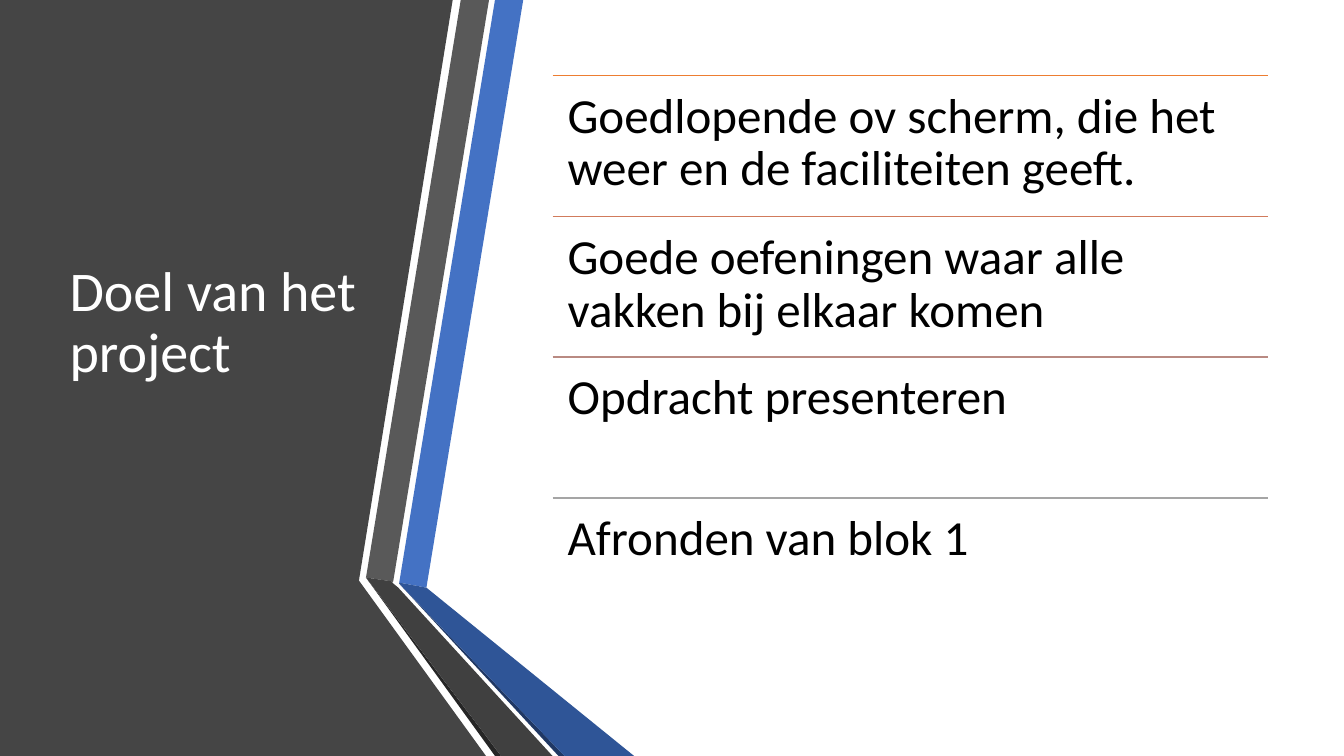
import dataclasses

import lxml.etree
import pptx
import pptx.dml.color
import pptx.enum.shapes
import pptx.enum.text
import pptx.oxml.ns
import pptx.util

PX = 9144  # EMU per px, 100 px to the inch


@dataclasses.dataclass(frozen=True)
class Theme:
    font: str = "Calibri"
    title_size: int = 40
    goal_size: int = 35
    rule_width: int = 1
    line_spacing: float = 0.9
    title_color: str = "FFFFFF"
    goal_color: str = "000000"
    panel: str = "454545"
    blue: str = "4472C4"
    blue_fold: str = "2F5597"
    blue_shade: str = "203864"
    grey: str = "595959"
    grey_fold: str = "404040"
    grey_shade: str = "262626"
    rules: tuple = ("ED7D31", "D17B5C", "B98A82", "A5A5A5")


THEME = Theme()

# Fill and corner points, from back to front
RIBBON_FACETS = [
    (THEME.panel, [(0, 0), (449, 0), (356, 576), (482, 750), (0, 750)]),
    (THEME.blue, [(396, 578), (423, 583), (519, 0), (491, 0)]),
    (THEME.grey, [(485, 0), (457, 0), (363, 573), (390, 577)]),
    (THEME.grey_shade, [(363, 573), (491, 750), (497, 750)]),
    (THEME.blue_shade, [(396, 579), (554, 750), (560, 750)]),
    (THEME.blue_fold, [(396, 579), (560, 750), (629, 750), (423, 583), (396, 578)]),
    (THEME.grey_fold, [(548, 750), (395, 583), (389, 578), (390, 577), (363, 573), (497, 750)]),
]

GOALS = [
    "Goedlopende ov scherm, die het weer en de faciliteiten geeft.",
    "Goede oefeningen waar alle vakken bij elkaar komen",
    "Opdracht presenteren",
    "Afronden van blok 1",
]
GOALS_LEFT, GOALS_TOP, GOALS_WIDTH, GOALS_HEIGHT = 548, 75, 710, 559


def rgb(color):
    return pptx.dml.color.RGBColor.from_string(color)


def add_facet(slide, color, corners):
    outline = slide.shapes.build_freeform(*corners[0], scale=PX)
    outline.add_line_segments(corners[1:], close=True)
    facet = outline.convert_to_shape()
    facet.shadow.inherit = False
    facet.fill.solid()
    facet.fill.fore_color.rgb = rgb(color)
    facet.line.fill.background()


def write_text(frame, text, size, color):
    frame.word_wrap = True
    frame.auto_size = pptx.enum.text.MSO_AUTO_SIZE.NONE
    paragraph = frame.paragraphs[0]
    paragraph.alignment = pptx.enum.text.PP_ALIGN.LEFT
    paragraph.line_spacing = THEME.line_spacing
    run = paragraph.add_run()
    run.text = text
    run.font.name = THEME.font
    run.font.size = pptx.util.Pt(size)
    run.font.color.rgb = rgb(color)


def place_title(slide, text):
    """Fill the title placeholder and bring it in front of the dark panel."""
    title = slide.shapes.title
    title.left, title.top, title.width, title.height = (
        px * PX for px in (59, 75, 304, 558))
    frame = title.text_frame
    frame.vertical_anchor = pptx.enum.text.MSO_ANCHOR.MIDDLE
    frame.margin_bottom = 70 * PX
    write_text(frame, text, THEME.title_size, THEME.title_color)
    title.element.getparent().append(title.element)


def add_rule(slide, top, color):
    rule = slide.shapes.add_connector(
        pptx.enum.shapes.MSO_CONNECTOR.STRAIGHT,
        GOALS_LEFT * PX, top * PX, (GOALS_LEFT + GOALS_WIDTH) * PX, top * PX)
    rule.line.color.rgb = rgb(color)
    rule.line.width = pptx.util.Pt(THEME.rule_width)
    lxml.etree.SubElement(rule.element.spPr, pptx.oxml.ns.qn("a:effectLst"))


def add_goal(slide, top, height, text):
    goal = slide.shapes.add_textbox(
        GOALS_LEFT * PX, top * PX, GOALS_WIDTH * PX, height * PX)
    frame = goal.text_frame
    frame.margin_left = frame.margin_right = 15 * PX
    frame.margin_top = frame.margin_bottom = 15 * PX
    write_text(frame, text, THEME.goal_size, THEME.goal_color)


def main():
    deck = pptx.Presentation()
    deck.slide_width, deck.slide_height = 1333 * PX, 750 * PX
    slide = deck.slides.add_slide(deck.slide_layouts.get_by_name("Title Only"))

    for color, corners in RIBBON_FACETS:
        add_facet(slide, color, corners)
    place_title(slide, "Doel van het project")

    row_height = GOALS_HEIGHT / len(GOALS)
    for row, (goal, color) in enumerate(zip(GOALS, THEME.rules)):
        top = round(GOALS_TOP + row * row_height)
        add_rule(slide, top, color)
        add_goal(slide, top, round(row_height), goal)

    deck.save("out.pptx")


if __name__ == "__main__":
    main()
